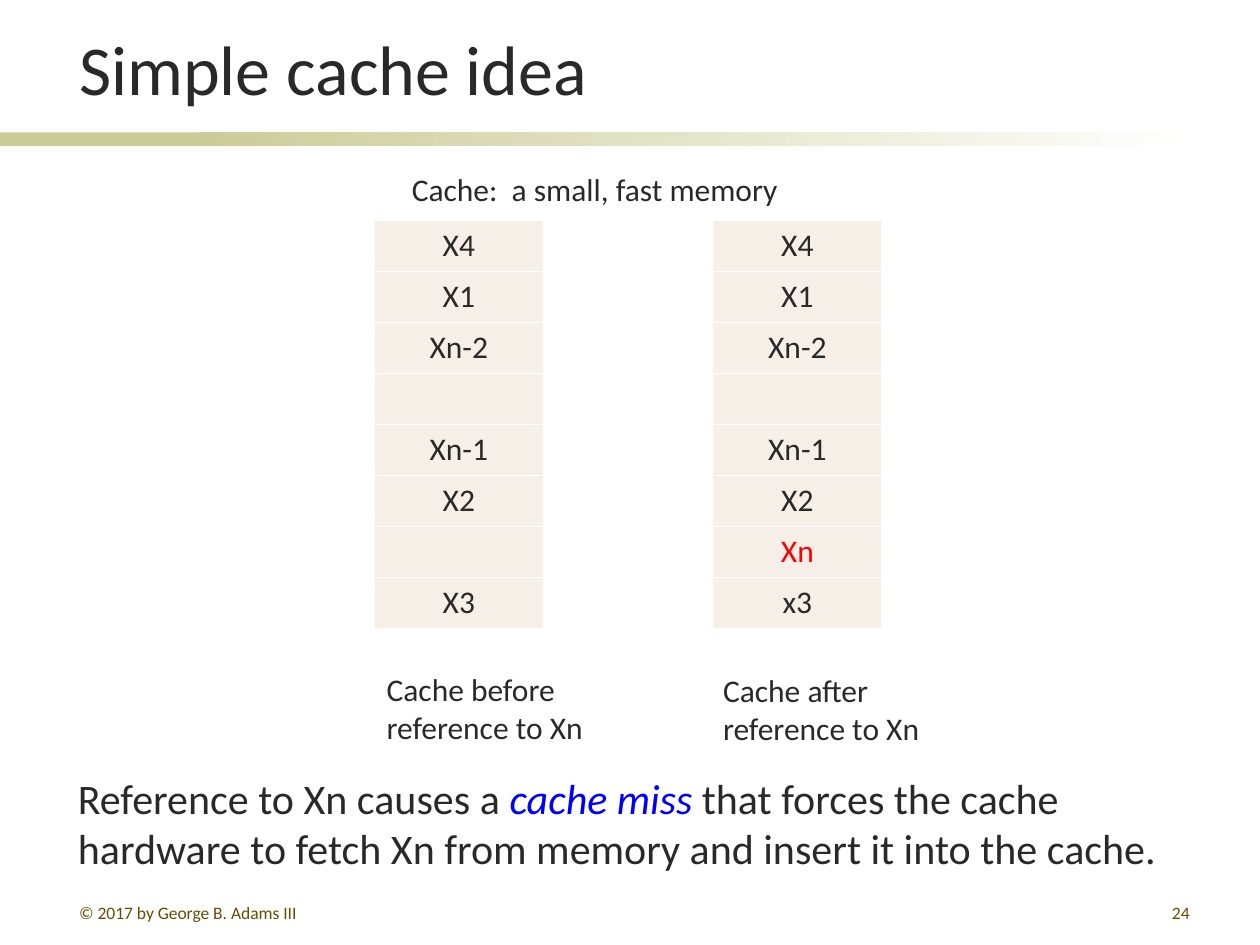
import pptx
import pptx.dml.color
import pptx.enum.shapes
import pptx.enum.text
import pptx.oxml
import pptx.oxml.ns
import pptx.util

Inches = pptx.util.Inches
RGBColor = pptx.dml.color.RGBColor
PP_ALIGN = pptx.enum.text.PP_ALIGN
MSO_ANCHOR = pptx.enum.text.MSO_ANCHOR

FONT = "Calibri"
INK = RGBColor(0x29, 0x29, 0x29)
FOOTER = RGBColor(0x66, 0x4D, 0x00)
RED = RGBColor(0xFF, 0x00, 0x00)
BLUE = RGBColor(0x00, 0x00, 0xFF)
OLIVE = RGBColor(0xCC, 0xCC, 0x99)
WHITE = RGBColor(0xFF, 0xFF, 0xFF)
CELL = RGBColor(0xF6, 0xEF, 0xE7)

CACHE_BEFORE = ["X4", "X1", "Xn-2", "", "Xn-1", "X2", "", "X3"]
CACHE_AFTER = ["X4", "X1", "Xn-2", "", "Xn-1", "X2", "Xn", "x3"]


def add_run(paragraph, text, size=18, color=INK, italic=None):
    run = paragraph.add_run()
    run.text = text
    run.font.name = FONT
    run.font.size = pptx.util.Pt(size)
    run.font.color.rgb = color
    run.font.italic = italic


def add_text(slide, box, *lines, align=PP_ALIGN.LEFT, anchor=MSO_ANCHOR.TOP,
             wrap=True, **run_format):
    """Add a text box; a line is a string or a list of (text, format) runs."""
    shape = slide.shapes.add_textbox(*map(Inches, box))
    frame = shape.text_frame
    frame.word_wrap = wrap
    frame.vertical_anchor = anchor
    for index, line in enumerate(lines):
        paragraph = frame.add_paragraph() if index else frame.paragraphs[0]
        paragraph.alignment = align
        runs = [(line, {})] if isinstance(line, str) else line
        for text, changes in runs:
            add_run(paragraph, text, **{**run_format, **changes})


def add_band(slide, left, width, end_color=None):
    """Add a title rule, fading to end_color when one is given."""
    shape = slide.shapes.add_shape(
        pptx.enum.shapes.MSO_SHAPE.RECTANGLE,
        Inches(left), Inches(1.05), Inches(width), Inches(0.11))
    shape.shadow.inherit = False
    shape.line.fill.background()
    if end_color is None:
        shape.fill.solid()
        shape.fill.fore_color.rgb = OLIVE
        return
    shape.fill.gradient()
    shape.fill.gradient_angle = 0
    for stop, color in zip(shape.fill.gradient_stops, (OLIVE, end_color)):
        stop.color.rgb = color


def set_borders(cell, color, width):
    properties = cell._tc.get_or_add_tcPr()
    for index, side in enumerate(("lnL", "lnR", "lnT", "lnB")):
        properties.insert(index, pptx.oxml.parse_xml(
            f'<a:{side} {pptx.oxml.ns.nsdecls("a")} w="{pptx.util.Pt(width)}">'
            f'<a:solidFill><a:srgbClr val="{color}"/></a:solidFill></a:{side}>'))


def add_cache_table(slide):
    """Add both cache states as columns, with an empty column between them."""
    rows = list(zip(CACHE_BEFORE, [None] * len(CACHE_BEFORE), CACHE_AFTER))
    table = slide.shapes.add_table(
        len(rows), 3, Inches(2.97), Inches(1.75), Inches(4.03), Inches(3.24)).table
    table.first_row = False
    table.horz_banding = False
    for row_index, row in enumerate(rows):
        for column_index, text in enumerate(row):
            cell = table.cell(row_index, column_index)
            if text is None:
                cell.fill.background()
            else:
                cell.fill.solid()
                cell.fill.fore_color.rgb = CELL
            set_borders(cell, WHITE, 1)
            if text:
                paragraph = cell.text_frame.paragraphs[0]
                paragraph.alignment = PP_ALIGN.CENTER
                add_run(paragraph, text, color=RED if text == "Xn" else INK)


def main():
    presentation = pptx.Presentation()
    presentation.slide_width = Inches(10)
    presentation.slide_height = Inches(7.5)
    slide = presentation.slides.add_slide(presentation.slide_layouts[6])

    add_band(slide, 0, 2.33)
    add_band(slide, 1.58, 7.92, end_color=WHITE)
    add_text(slide, (0.53, 0.11, 9.01, 0.81), "Simple cache idea",
             size=40, anchor=MSO_ANCHOR.BOTTOM)
    add_cache_table(slide)
    add_text(slide, (2.97, 5.27, 1.79, 0.71), "Cache before", "reference to Xn")
    add_text(slide, (5.64, 5.28, 1.85, 0.71), "Cache after", "reference to Xn")
    add_text(slide, (0.52, 6.08, 8.91, 0.91), [
        ("Reference to Xn causes a ", {}),
        ("cache miss", {"color": BLUE, "italic": True}),
        (" that forces the cache hardware to fetch Xn from memory"
         " and insert it into the cache.", {}),
    ], size=24)
    add_text(slide, (3.17, 1.3, 3.14, 0.4), "Cache:  a small, fast memory", wrap=False)
    add_text(slide, (0.53, 7.11, 2.17, 0.21), "© 2017 by George B. Adams III",
             size=10, color=FOOTER)
    add_text(slide, (7.46, 7.11, 2.08, 0.21), "24",
             size=10, color=FOOTER, align=PP_ALIGN.RIGHT)

    presentation.save("out.pptx")


if __name__ == "__main__":
    main()
